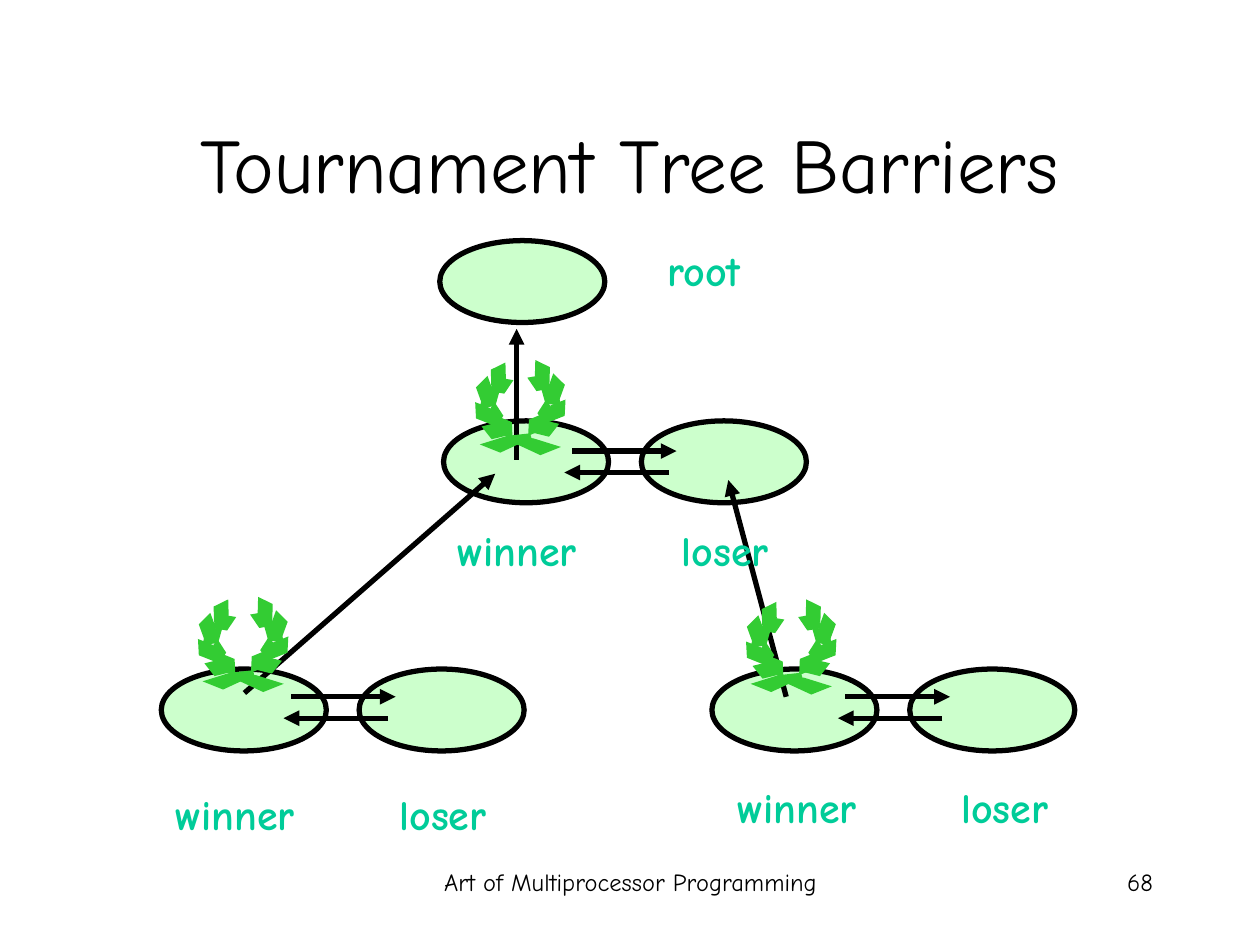
from lxml.etree import SubElement
from pptx import Presentation
from pptx.dml.color import RGBColor as Color
from pptx.enum.shapes import MSO_CONNECTOR as Link, MSO_SHAPE as Preset
from pptx.enum.text import MSO_ANCHOR as Anchor, MSO_AUTO_SIZE as Fit, PP_ALIGN as Align
from pptx.oxml.ns import qn
from pptx.util import Pt

PX = 9144
THEME = {
    "font": "Comic Neue",
    "ink": Color.from_string("000000"),
    "node": Color.from_string("CCFFCC"),
    "laurel": Color.from_string("33CC33"),
    "label": Color.from_string("00CC99"),
    "line": Pt(3),
    "title": Pt(44),
    "label_size": Pt(24),
    "footer": Pt(14),
}


def write(box, words, size, color, align, bold=False, **frame_format):
    frame = box.text_frame
    for name, value in frame_format.items():
        setattr(frame, name, value)
    para = frame.paragraphs[0]
    para.alignment = align
    span = para.add_run()
    span.text = words
    for name, value in {"name": THEME["font"], "size": size, "bold": bold}.items():
        setattr(span.font, name, value)
    span.font.color.rgb = color


def paint(shape, fill, line):
    shape.shadow.inherit = False
    shape.fill.solid()
    shape.fill.fore_color.rgb = fill
    shape.line.color.rgb = line
    shape.line.width = THEME["line"]
    SubElement(shape._element.spPr.get_or_add_ln(), qn("a:miter"), lim="800000")


deck = Presentation()
deck.slide_width, deck.slide_height = 1000 * PX, 750 * PX
page = deck.slides.add_slide(deck.slide_layouts[5])

title = page.shapes.title
for name, value in {"left": 75, "top": 67, "width": 850, "height": 125}.items():
    setattr(title, name, value * PX)
write(title, "Tournament Tree Barriers", THEME["title"], THEME["ink"], Align.CENTER,
      vertical_anchor=Anchor.MIDDLE, auto_size=Fit.NONE, word_wrap=True)

footers = [
    ("Art of Multiprocessor Programming", 342, 317, Align.CENTER),
    ("68", 717, 208, Align.RIGHT),
]
for words, left, width, align in footers:
    box = page.shapes.add_textbox(left * PX, 683 * PX, width * PX, 50 * PX)
    write(box, words, THEME["footer"], THEME["ink"], align, word_wrap=True)

nodes = [(349, 191)]
labels = [("root", 519, 189, 79)]
arrows = [(194, 550, 393, 376), (624, 553, 578, 381), (410, 365, 410, 261)]
matches = [
    ((128, 531), (231, 553), (129, 621)),
    ((565, 531), (671, 553), (575, 615)),
    ((352, 334), (454, 358), (353, 411)),
]
for (node_x, node_y), (arrow_x, arrow_y), (label_x, label_y) in matches:
    nodes += [(node_x, node_y), (node_x + 157, node_y)]
    arrows += [
        (arrow_x, arrow_y, arrow_x + 83, arrow_y),
        (arrow_x + 77, arrow_y + 17, arrow_x - 6, arrow_y + 17),
    ]
    labels += [("winner", label_x, label_y, 115), ("loser", label_x + 178, label_y, 89)]

for left, top in nodes:
    node = page.shapes.add_shape(Preset.OVAL, left * PX, top * PX, 131 * PX, 65 * PX)
    paint(node, THEME["node"], THEME["ink"])

for ends in arrows:
    arrow = page.shapes.add_connector(Link.STRAIGHT, *(end * PX for end in ends))
    arrow.line.color.rgb = THEME["ink"]
    arrow.line.width = THEME["line"]
    SubElement(arrow._element.spPr.get_or_add_ln(), qn("a:tailEnd"), type="triangle")
    SubElement(arrow._element.spPr, qn("a:effectLst"))

leaves = [
    (16, 33, 0), (25, 31, 35.7), (20, 20, 311.6), (24, 12, 347.4),
    (11, 9, 293.1), (13, 0, 328.9), (8, 42, 35.3), (16, 45, 71),
]
stem = [(8, 58), (-10, 60), (-26, 65), (-16, 69), (-3, 63)]
for center, top in [(193, 476), (628, 478), (413, 288)]:
    wreath = page.shapes.add_group_shape()
    for side, drop in [(1, 0), (-1, 2)]:
        for offset, down, angle in leaves:
            left = center + offset if side == 1 else center - offset - 9
            leaf = wreath.shapes.add_shape(
                Preset.DIAMOND, left * PX, (top + down + drop) * PX, 9 * PX, 14 * PX)
            leaf.rotation = side * angle % 360
            paint(leaf, THEME["laurel"], THEME["laurel"])
        points = [(center + side * x, top + y + drop) for x, y in stem]
        outline = wreath.shapes.build_freeform(*points[0], scale=PX)
        outline.add_line_segments(points[1:], close=True)
        paint(outline.convert_to_shape(), THEME["laurel"], THEME["laurel"])

for words, left, top, width in labels:
    box = page.shapes.add_textbox(left * PX, top * PX, width * PX, 50 * PX)
    write(box, words, THEME["label_size"], THEME["label"], Align.CENTER, bold=True,
          word_wrap=False, auto_size=Fit.SHAPE_TO_FIT_TEXT)

deck.save("out.pptx")
